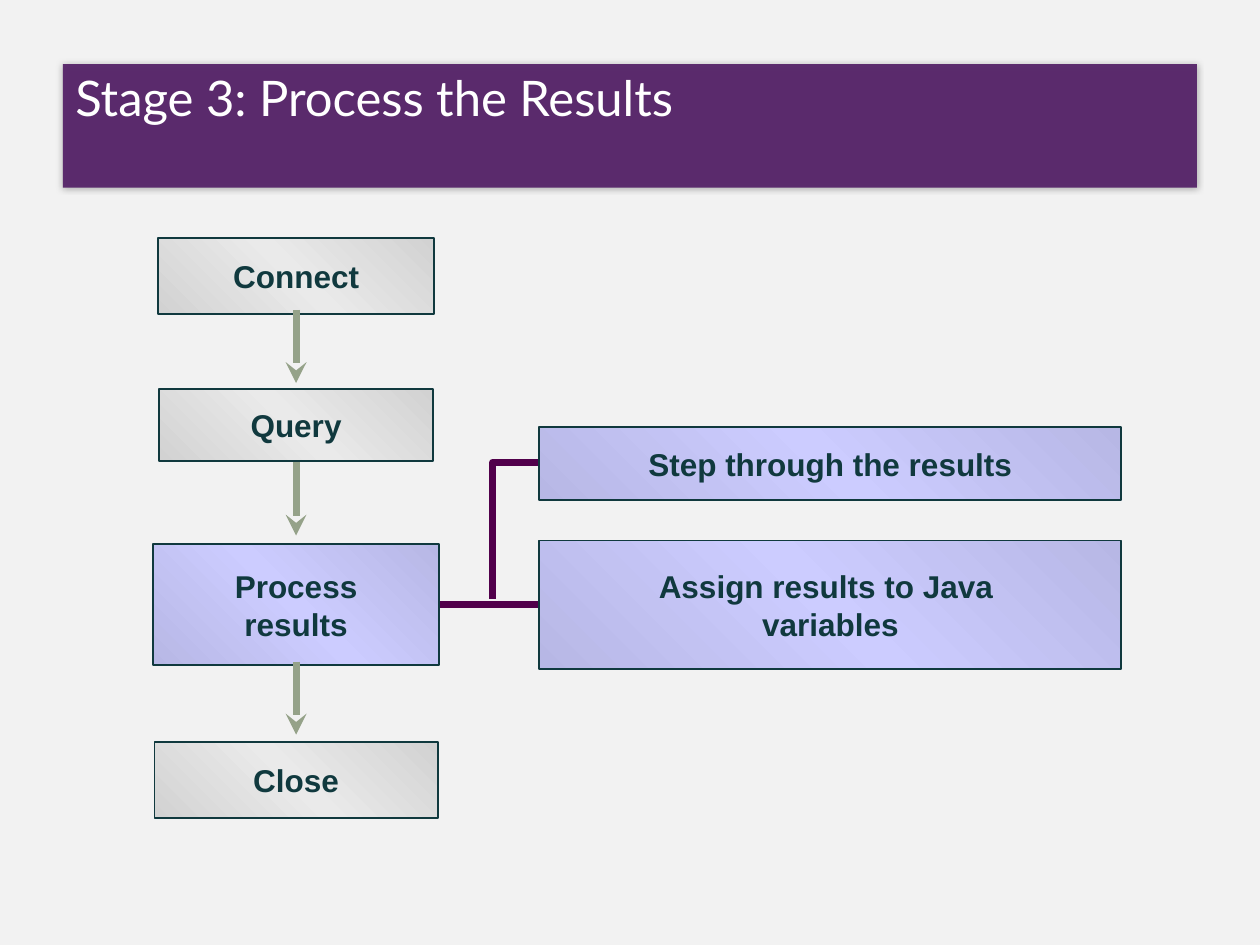
from copy import deepcopy

from lxml import etree
from pptx import Presentation
from pptx.dml.color import RGBColor
from pptx.enum import shapes, text
from pptx.oxml import parse_xml
from pptx.oxml.ns import nsdecls, qn
from pptx.util import Inches, Pt

INK, PLUM, SAGE = "10393E", "51004B", "95A289"
GREY = ("D2D2D2", "EAEAEA")
LILAC = ("B7B7E5", "CCCCFF")


def rgb(value):
    return RGBColor.from_string(value)


def add_run(p, content, font, size, color, bold=False):
    r = p.add_run()
    r.text = content
    r.font.name, r.font.size, r.font.bold = font, Pt(size), bold
    r.font.color.rgb = rgb(color)


def add_rect(s, box):
    sp = s.shapes.add_shape(shapes.MSO_SHAPE.RECTANGLE, *map(Inches, box))
    sp.shadow.inherit = False
    return sp


def title_bar(s, box, content):
    sp = add_rect(s, box)
    sp.fill.solid()
    sp.fill.fore_color.rgb = rgb("562469")
    sp.line.fill.background()
    # Slight transparency and a soft shadow
    color = sp._element.spPr.find(qn("a:solidFill"))[0]
    etree.SubElement(color, qn("a:alpha"), val="95000")
    sp._element.spPr.find(qn("a:effectLst")).append(parse_xml(
        f'<a:outerShdw {nsdecls("a")} blurRad="50800" dist="0" algn="ctr">'
        '<a:srgbClr val="000000"><a:alpha val="30000"/></a:srgbClr></a:outerShdw>'))
    tf = sp.text_frame
    tf.word_wrap = True
    tf.margin_top = 0
    tf.vertical_anchor = text.MSO_ANCHOR.TOP
    p = tf.paragraphs[0]
    p.alignment = text.PP_ALIGN.LEFT
    p.line_spacing = 1.05
    add_run(p, content, "Lato", 28, "FFFFFF")


def step_box(s, box, lines, shades):
    sp = add_rect(s, box)
    sp.line.color.rgb = rgb(INK)
    sp.line.width = Pt(1)
    # Diagonal gradient: edge, middle, edge
    edge, middle = shades
    sp.fill.gradient()
    sp.fill.gradient_angle = 45
    stops = sp.fill.gradient_stops
    for stop, color in zip(stops, (edge, middle)):
        stop.color.rgb = rgb(color)
    stops[0].position, stops[1].position = 0, 0.5
    stop_list = sp._element.spPr.find(qn("a:gradFill")).find(qn("a:gsLst"))
    last = deepcopy(stop_list[0])
    last.set("pos", "100000")
    stop_list.append(last)

    tf = sp.text_frame
    tf.word_wrap = False
    tf.vertical_anchor = text.MSO_ANCHOR.MIDDLE
    p = tf.paragraphs[0]
    p.alignment = text.PP_ALIGN.CENTER
    for i, line in enumerate(lines):
        if i:
            p.add_line_break()
        add_run(p, line, "Arial", 18, INK, bold=True)


def add_line(s, start, end, color, arrow=False):
    cx = s.shapes.add_connector(shapes.MSO_CONNECTOR.STRAIGHT,
                                *map(Inches, start + end))
    cx.line.color.rgb = rgb(color)
    cx.line.width = Pt(4)
    if arrow:
        etree.SubElement(cx.line._get_or_add_ln(), qn("a:tailEnd"), type="stealth")
    etree.SubElement(cx._element.spPr, qn("a:effectLst"))


def branch(s, left, top, right, bottom):
    fb = s.shapes.build_freeform(Inches(left), Inches(bottom), scale=1.0)
    fb.add_line_segments([(Inches(left), Inches(top)), (Inches(right), Inches(top))],
                         close=False)
    sp = fb.convert_to_shape()
    sp.shadow.inherit = False
    sp.fill.background()
    sp.line.color.rgb = rgb(PLUM)
    sp.line.width = Pt(4)
    etree.SubElement(sp.line._get_or_add_ln(), qn("a:round"))


def stages(s, center):
    # Each stage: top, width, height, lines, shades
    for top, width, height, lines, shades in [
        (1.89, 2.19, 0.6, ["Connect"], GREY),
        (3.09, 2.17, 0.57, ["Query"], GREY),
        (4.32, 2.27, 0.96, ["Process", "results"], LILAC),
        (5.89, 2.25, 0.6, ["Close"], GREY),
    ]:
        step_box(s, (center - width / 2, top, width, height), lines, shades)
    for top in (2.46, 3.67, 5.25):
        add_line(s, (center, top), (center, top + 0.58), SAGE, arrow=True)


def details(s, left, width):
    step_box(s, (left, 3.39, width, 0.58), ["Step through the results"], LILAC)
    step_box(s, (left, 4.29, width, 1.02),
             ["Assign results to Java ", "variables"], LILAC)


def main():
    prs = Presentation()
    prs.slide_width, prs.slide_height = Inches(10), Inches(7.5)
    s = prs.slides.add_slide(prs.slide_layouts[6])
    s.background.fill.solid()
    s.background.fill.fore_color.rgb = rgb("F2F2F2")

    # Links lie behind the boxes they join
    branch(s, 3.91, 3.67, 4.5, 4.75)
    add_line(s, (3.3, 4.8), (4.58, 4.8), PLUM)
    stages(s, 2.35)
    details(s, 4.28, 4.62)
    title_bar(s, (0.5, 0.51, 9, 0.98), "Stage 3: Process the Results")
    prs.save("out.pptx")


if __name__ == "__main__":
    main()
